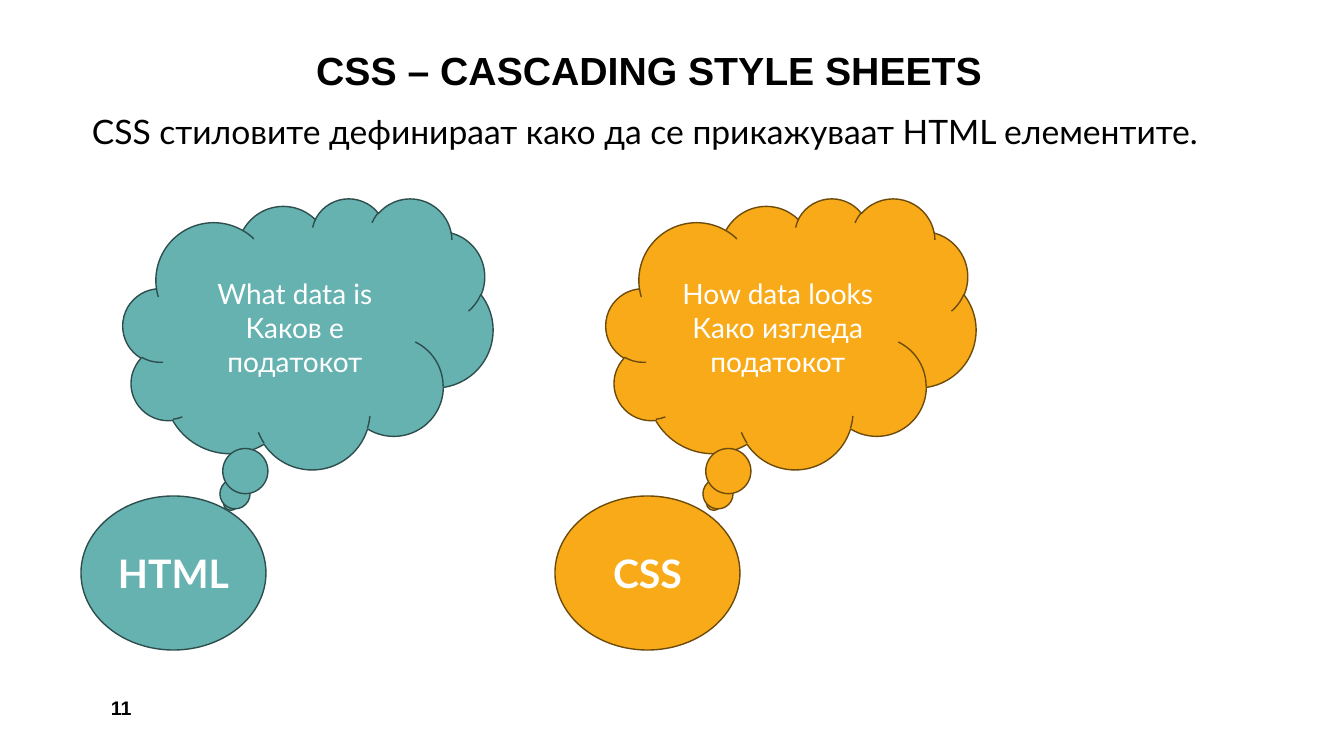
import pptx
import pptx.util
import pptx.dml.color
import pptx.enum.shapes
import pptx.enum.text

PX = 914400 / 100.8
RGBColor = pptx.dml.color.RGBColor
BLACK = RGBColor(0x00, 0x00, 0x00)
WHITE = RGBColor(0xFF, 0xFF, 0xFF)
TEAL = RGBColor(0x66, 0xB2, 0xB0)
DARK_TEAL = RGBColor(0x2D, 0x4E, 0x4D)
ORANGE = RGBColor(0xF9, 0xAA, 0x19)
DARK_ORANGE = RGBColor(0x6D, 0x4B, 0x0B)
Alignment = pptx.enum.text.PP_ALIGN
Anchor = pptx.enum.text.MSO_ANCHOR
ShapeType = pptx.enum.shapes.MSO_SHAPE


def px(length):
    return pptx.util.Emu(round(length * PX))


def write_text(shape, text, size, font="Lato", color=BLACK, bold=False,
               align=Alignment.LEFT, anchor=Anchor.MIDDLE, line_spacing=None):
    frame = shape.text_frame
    frame.word_wrap = True
    frame.vertical_anchor = anchor
    frame.text = text
    for paragraph in frame.paragraphs:
        paragraph.alignment = align
        paragraph.line_spacing = line_spacing
        paragraph.font.name = font
        paragraph.font.size = pptx.util.Pt(size)
        paragraph.font.bold = bold
        paragraph.font.color.rgb = color


presentation = pptx.Presentation()
presentation.slide_width = px(1344)
presentation.slide_height = px(756)
slide = presentation.slides.add_slide(presentation.slide_layouts[6])

title = slide.shapes.add_textbox(px(192), px(11), px(914), px(88))
write_text(title, "CSS – CASCADING STYLE SHEETS", 28, font="Arial", bold=True,
           align=Alignment.CENTER, anchor=Anchor.BOTTOM, line_spacing=0.9)

page_number = slide.shapes.add_textbox(px(101), px(688), px(294), px(40))
write_text(page_number, "11", 14, font="Arial", bold=True)

definition = slide.shapes.add_textbox(px(38), px(106), px(1200), px(50))
write_text(definition, "CSS стиловите дефинираат како да се прикажуваат HTML елементите.",
           24, anchor=Anchor.TOP)
definition.text_frame.margin_left = px(54)

CLOUD = (ShapeType.CLOUD_CALLOUT, 198, 370, 271, 20, False)
SPEAKER = (ShapeType.OVAL, 496, 185, 154, 28, True)
bubbles = [
    (CLOUD, 123, "What data is\nКаков е податокот", TEAL, DARK_TEAL),
    (SPEAKER, 81, "HTML", TEAL, DARK_TEAL),
    (SPEAKER, 555, "CSS", ORANGE, DARK_ORANGE),
    (CLOUD, 606, "How data looks\nКако изгледа податокот", ORANGE, DARK_ORANGE),
]
for (kind, top, width, height, size, bold), left, text, fill, outline in bubbles:
    bubble = slide.shapes.add_shape(kind, px(left), px(top), px(width), px(height))
    bubble.shadow.inherit = False
    bubble.fill.solid()
    bubble.fill.fore_color.rgb = fill
    bubble.line.color.rgb = outline
    bubble.line.width = pptx.util.Pt(1)
    write_text(bubble, text, size, color=WHITE, bold=bold, align=Alignment.CENTER)

presentation.save("out.pptx")
